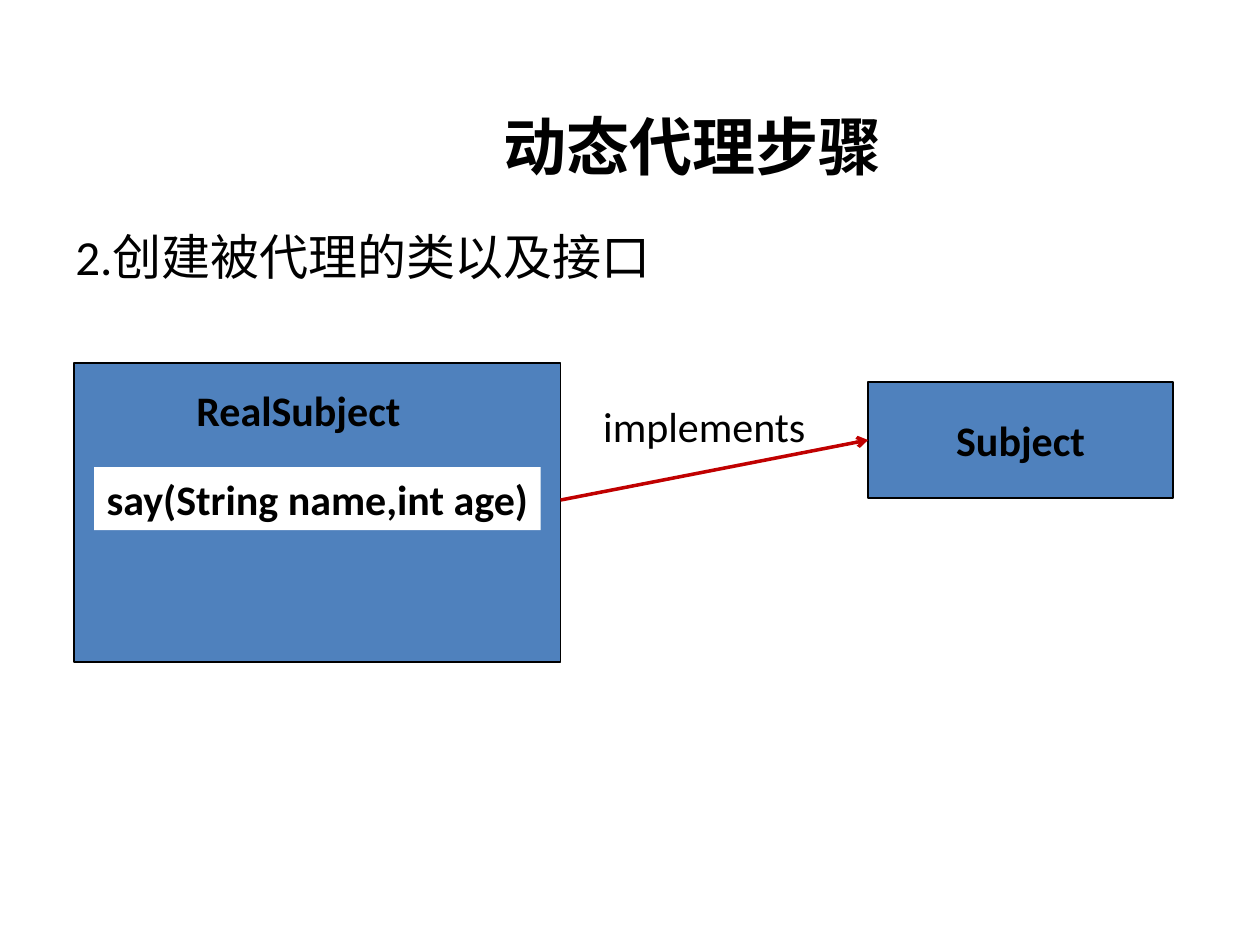
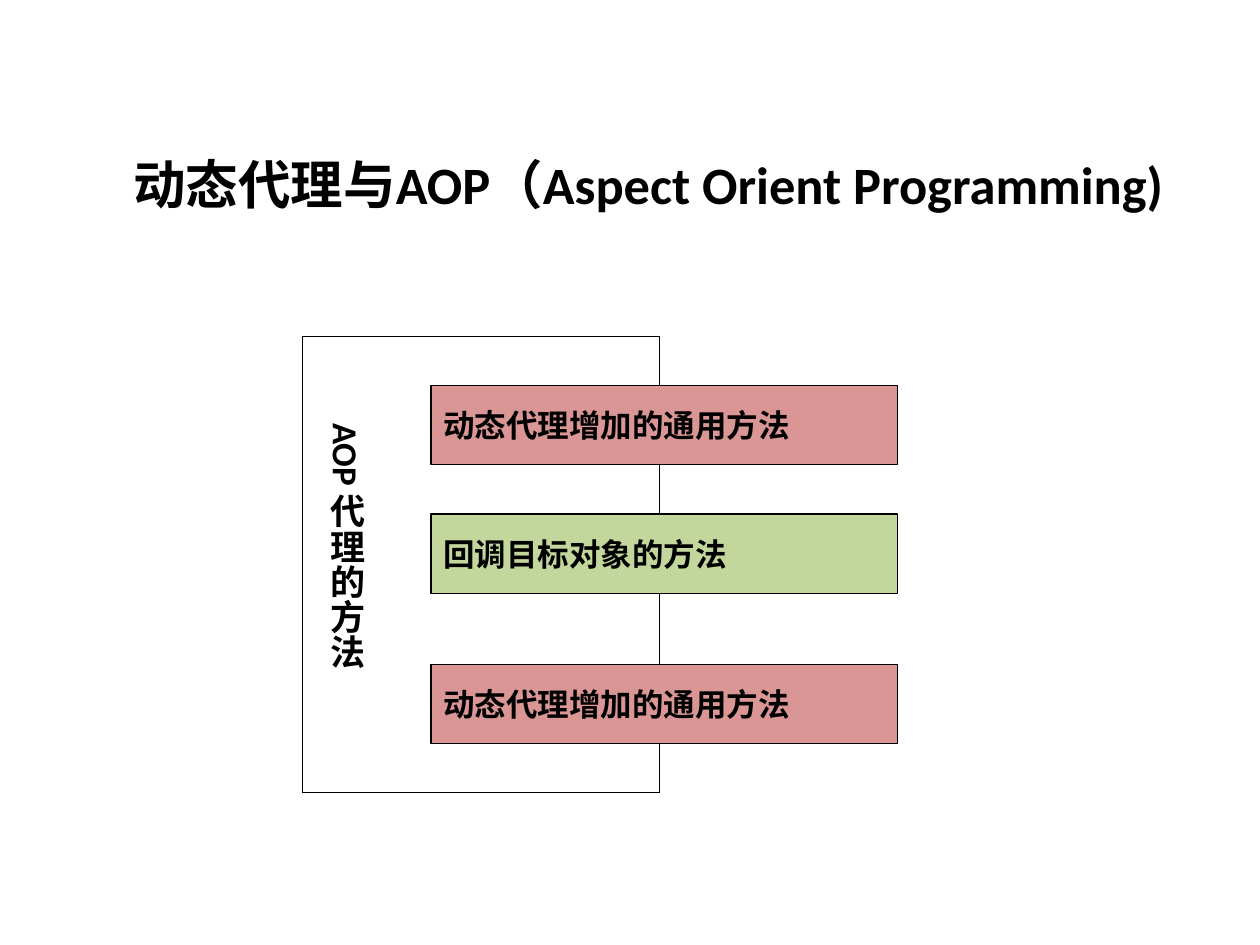
from lxml.etree import SubElement
from pptx import Presentation
from pptx.dml.color import RGBColor
from pptx.enum.shapes import MSO_CONNECTOR, MSO_SHAPE
from pptx.enum.text import MSO_ANCHOR, PP_ALIGN
from pptx.oxml.ns import qn
from pptx.util import Cm, Pt

FONT = "Calibri"
BLACK = RGBColor(0, 0, 0)
WHITE = RGBColor(255, 255, 255)
BLUE = RGBColor(0x4F, 0x81, 0xBD)
RED = RGBColor(0xC0, 0, 0)
ROSE = RGBColor(0xD9, 0x96, 0x94)
GREEN = RGBColor(0xC3, 0xD6, 0x9B)


def write(shape, text, size, bold=True, align=PP_ALIGN.LEFT,
          anchor=MSO_ANCHOR.TOP, wrap=True):
    frame = shape.text_frame
    frame.word_wrap = wrap
    frame.vertical_anchor = anchor
    paragraph = frame.paragraphs[0]
    paragraph.text = text
    paragraph.alignment = align
    font = paragraph.font
    font.name, font.size, font.bold = FONT, Pt(size), bold
    font.color.rgb = BLACK


def add_text(slide, left, top, width, height, text, size, **style):
    box = slide.shapes.add_textbox(Cm(left), Cm(top), Cm(width), Cm(height))
    write(box, text, size, **style)
    return box


def add_rect(slide, left, top, width, height, fill, outline=None):
    """Add a filled rectangle; outline is a width in points or None."""
    rect = slide.shapes.add_shape(MSO_SHAPE.RECTANGLE, Cm(left), Cm(top),
                                  Cm(width), Cm(height))
    rect.shadow.inherit = False
    rect.fill.solid()
    rect.fill.fore_color.rgb = fill
    if outline is None:
        rect.line.fill.background()
    else:
        rect.line.color.rgb = BLACK
        rect.line.width = Pt(outline)
    return rect


def add_line(slide, start, end, color=BLACK, width=0.75, arrow=False):
    line = slide.shapes.add_connector(MSO_CONNECTOR.STRAIGHT,
                                      *map(Cm, start + end))
    line.line.color.rgb = color
    line.line.width = Pt(width)
    if arrow:
        SubElement(line.line._get_or_add_ln(), qn("a:tailEnd"), type="arrow")
    SubElement(line.element.spPr, qn("a:effectLst"))
    return line


def add_class_box(slide, left, top, width, height):
    """Draw RealSubject with its method strip."""
    add_rect(slide, left, top, width, height, BLUE, 1)
    add_text(slide, left + 2.21, top + 0.3, 5.46, 1.27, "RealSubject", 24)
    method = add_rect(slide, left + 0.4, top + 2.1, width - 0.8, 1.27, WHITE)
    write(method, "say(String name,int age)", 24, wrap=False)


def add_interface_box(slide, left, top, width, height):
    interface = add_rect(slide, left, top, width, height, BLUE, 1)
    write(interface, "Subject", 24, align=PP_ALIGN.CENTER,
          anchor=MSO_ANCHOR.MIDDLE)
    return interface


def add_steps_slide(slide):
    add_text(slide, 8.1, 1.93, 11.73, 2.01, "动态代理步骤", 36,
             align=PP_ALIGN.CENTER, anchor=MSO_ANCHOR.MIDDLE)
    add_text(slide, 1.27, 4.45, 23.42, 8.89, "2.创建被代理的类以及接口", 28,
             bold=False)
    add_class_box(slide, 1.5, 7.32, 9.8, 6.02)
    interface = add_interface_box(slide, 17.5, 7.7, 6.15, 2.34)
    add_text(slide, 11.91, 7.95, 4.88, 1.27, "implements", 24, bold=False)
    implements = add_line(slide, (11.3, 10.08), (17.5, 8.87), RED, 2, True)
    implements.end_connect(interface, 1)


def add_proxy_method(slide, left, top, width, height):
    """Draw the AOP frame, whose right side runs between the method bands."""
    right, bottom = left + width, top + height
    band_height = 1.6
    common = "动态代理增加的通用方法"
    bands = [(0.99, ROSE, common),
             (3.58, GREEN, "回调目标对象的方法"),
             (6.61, ROSE, common)]

    link_top = top
    for offset, fill, text in bands:
        band_top = top + offset
        band = add_rect(slide, left + 2.59, band_top, 9.4, band_height,
                        fill, 0.75)
        write(band, text, 18, anchor=MSO_ANCHOR.MIDDLE)
        add_line(slide, (right, link_top), (right, band_top))
        link_top = band_top + band_height
    add_line(slide, (right, link_top), (right, bottom))

    for edge in (top, bottom):
        add_line(slide, (right, edge), (left, edge))
    add_line(slide, (left, top), (left, bottom))

    caption = add_text(slide, left + 0.07, top + 1.5, 1.37, 6.81,
                       "AOP 代理的方法", 20)
    caption.element.txBody.bodyPr.set("vert", "eaVert")


def add_aop_slide(slide):
    add_text(slide, 2.44, 2.95, 21.59, 1.55,
             "动态代理与AOP（Aspect Orient Programming)", 30)
    add_proxy_method(slide, 6.1, 6.78, 7.2, 9.2)


def main():
    deck = Presentation()
    deck.slide_width, deck.slide_height = Cm(25.4), Cm(19.05)
    blank = deck.slide_layouts[6]
    for build in (add_steps_slide, add_aop_slide):
        build(deck.slides.add_slide(blank))
    deck.save("out.pptx")


if __name__ == "__main__":
    main()
